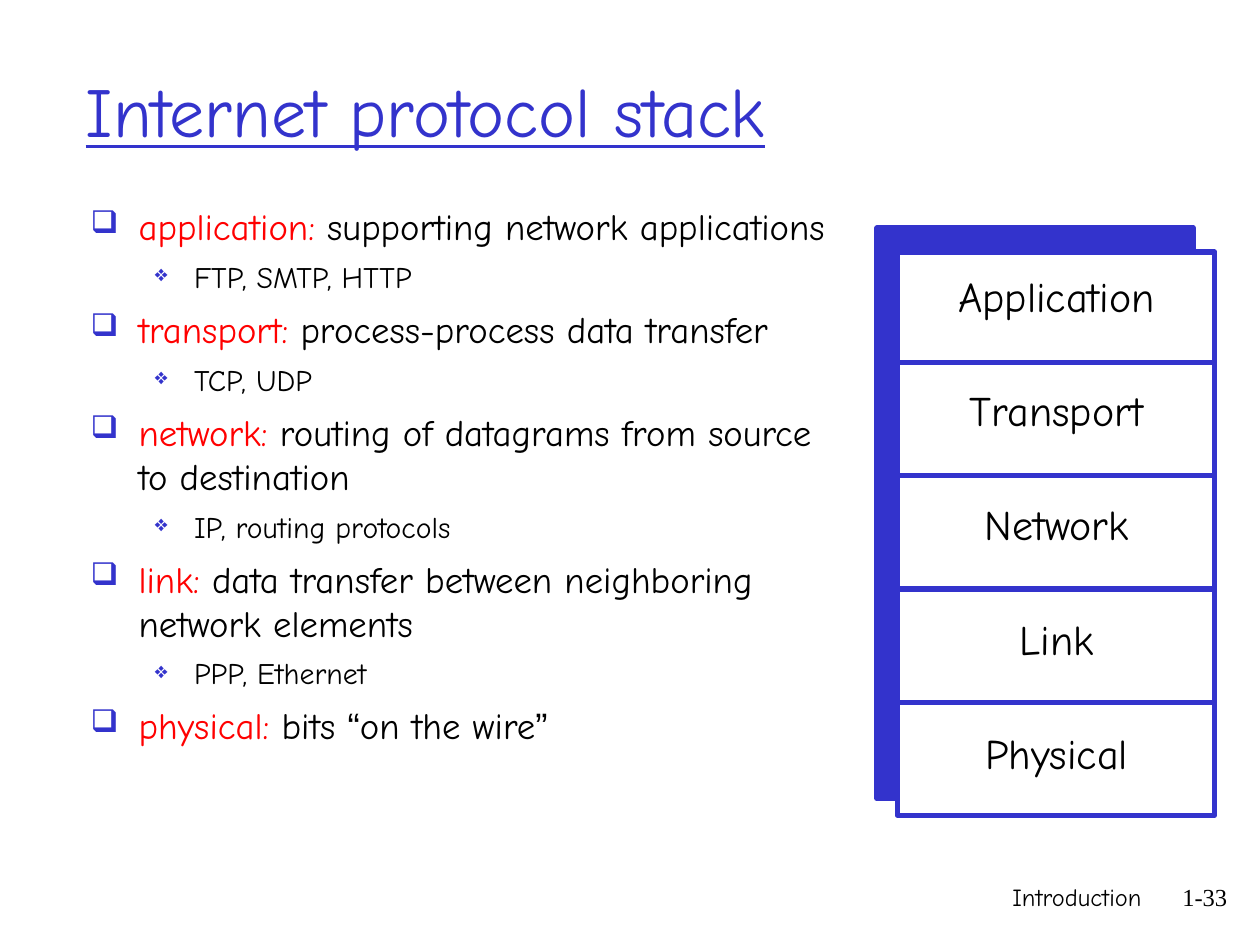
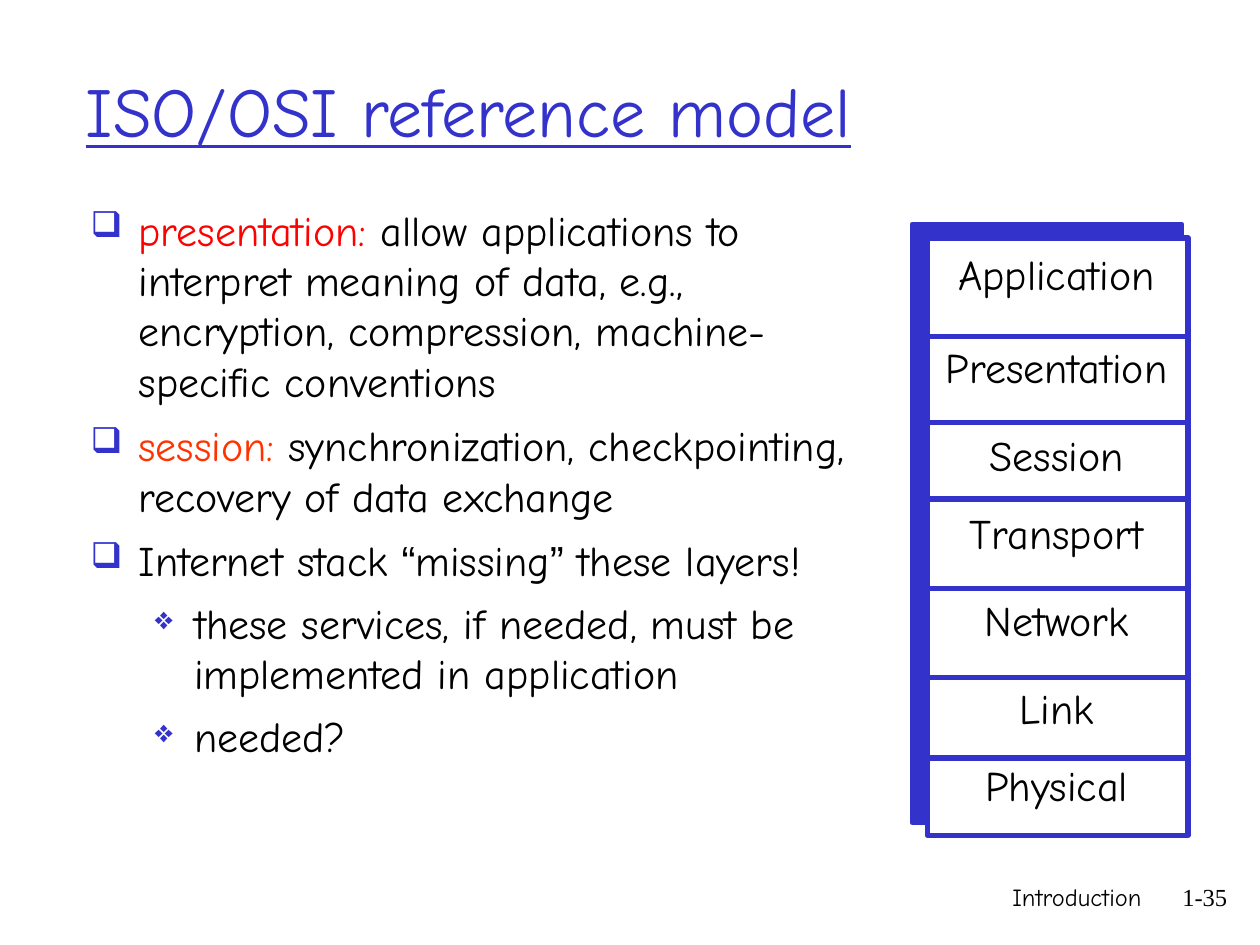
from itertools import groupby

from pptx import Presentation
from pptx.dml.color import RGBColor
from pptx.enum.shapes import MSO_CONNECTOR, MSO_SHAPE
from pptx.enum.text import MSO_ANCHOR, MSO_AUTO_SIZE, PP_ALIGN
from pptx.oxml.xmlchemy import OxmlElement
from pptx.util import Inches, Pt

RECTANGLE = MSO_SHAPE.RECTANGLE
STRAIGHT = MSO_CONNECTOR.STRAIGHT
MIDDLE = MSO_ANCHOR.MIDDLE
NO_AUTOFIT = MSO_AUTO_SIZE.NONE
LEFT, CENTER, RIGHT = PP_ALIGN.LEFT, PP_ALIGN.CENTER, PP_ALIGN.RIGHT

BLUE = RGBColor(0x33, 0x33, 0xCC)
RED = RGBColor(0xFF, 0x00, 0x00)
ORANGE = RGBColor(0xFF, 0x33, 0x00)
BLACK = RGBColor(0x00, 0x00, 0x00)
WHITE = RGBColor(0xFF, 0xFF, 0xFF)
BODY_FONT, NUMBER_FONT, QUOTE_FONT = "Comic Neue", "Times New Roman", "Arial"

# Bullet character, size in percent, left margin and hanging indent per level
BULLETS = [("❑", 85, 0.42, -0.38), ("❖", 75, 0.86, -0.31)]

presentation = Presentation()
presentation.slide_width = Inches(10)
presentation.slide_height = Inches(7.5)
title_only = presentation.slide_layouts[5]

# Grid of 100 columns and 75 rows
COLUMN = presentation.slide_width // 100
ROW = presentation.slide_height // 75

# Each point: level, coloured keyword, keyword colour, remaining text
# Boxes: left, top, width, height in columns and rows
SLIDES = [
    {
        "title": "Internet protocol stack",
        "number": "1-33",
        "sizes": (21, 17),
        "space_before": (7, 6.1),
        "points": [
            (0, "application:", RED, " supporting network applications"),
            (1, "", BLACK, "FTP, SMTP, HTTP"),
            (0, "transport:", RED, " process-process data transfer"),
            (1, "", BLACK, "TCP, UDP"),
            (0, "network:", RED, " routing of datagrams from source to destination"),
            (1, "", BLACK, "IP, routing protocols"),
            (0, "link:", RED, " data transfer between neighboring network elements"),
            (1, "", BLACK, "PPP, Ethernet"),
            (0, "physical:", RED, " bits “on the wire”"),
        ],
        "back": (69.6, 18.1, 25.1, 45.3),
        "front": (71.2, 20, 25.2, 44.7),
        "layers": ["Application", "Transport", "Network", "Link", "Physical"],
        "label_tops": [21.5 + 9.05 * layer for layer in range(5)],
        "dividers": [28.75 + 9 * layer for layer in range(4)],
        "line_spacing": 1.0,
    },
    {
        "title": "ISO/OSI reference model",
        "number": "1-35",
        "sizes": (24, 24),
        "space_before": (8, 7),
        "points": [
            (0, "presentation:", RED, " allow applications to interpret meaning of data, "
             "e.g., encryption, compression, machine-specific conventions"),
            (0, "session:", ORANGE, " synchronization, checkpointing, recovery of data exchange"),
            (0, "", BLACK, "Internet stack “missing” these layers!"),
            (1, "", BLACK, "these services, if needed, must be implemented in application"),
            (1, "", BLACK, "needed?"),
        ],
        "back": (72.4, 17.8, 21.4, 47.5),
        "front": (73.6, 18.9, 20.7, 47.4),
        "layers": ["Application", "Presentation", "Session", "Transport",
                   "Network", "Link", "Physical"],
        "label_tops": [20.8, 28.2, 35.2, 41.4, 48.3, 55.3, 61.4],
        "dividers": [26.7, 33.55, 39.6, 46.7, 53.8, 60.15],
        "line_spacing": 0.7,
    },
]


def grid(left, top, width, height):
    """Turn columns and rows into slide lengths."""
    return (int(left * COLUMN), int(top * ROW), int(width * COLUMN), int(height * ROW))


def add_label(slide, box, text, size, font_name, alignment):
    """Add a one-line text box and return its paragraph."""
    text_frame = slide.shapes.add_textbox(*grid(*box)).text_frame
    text_frame.word_wrap = True
    text_frame.margin_top = text_frame.margin_bottom = 0
    text_frame.margin_left = text_frame.margin_right = Inches(0.04)
    text_frame.text = text
    paragraph = text_frame.paragraphs[0]
    paragraph.alignment = alignment
    font = paragraph.runs[0].font
    font.size, font.name, font.color.rgb = Pt(size), font_name, BLACK
    return paragraph


for content in SLIDES:
    slide = presentation.slides.add_slide(title_only)

    # Footer
    add_label(slide, (59.2, 70, 31.8, 3.8), "Introduction", 14, BODY_FONT, RIGHT)
    add_label(slide, (90.9, 70, 6.9, 3.2), content["number"], 14, NUMBER_FONT, RIGHT)

    # Title
    title = slide.shapes.title
    title.left, title.top, title.width, title.height = grid(5.8, 1.9, 85, 13.6)
    title.text_frame.text = content["title"]
    title.text_frame.auto_size = NO_AUTOFIT
    title.text_frame.vertical_anchor = MIDDLE
    title.text_frame.margin_left = Inches(0.1)
    title.text_frame.margin_right = Inches(0.14)
    title.text_frame.margin_top = title.text_frame.margin_bottom = Inches(0.06)
    title.text_frame.paragraphs[0].alignment = LEFT
    font = title.text_frame.paragraphs[0].runs[0].font
    font.size, font.name, font.color.rgb = Pt(40), BODY_FONT, BLUE
    font.underline = True

    # Bulleted points
    body = slide.shapes.add_textbox(*grid(6.2, 15.6, 62.5, 59.4)).text_frame
    body.word_wrap = True
    body.margin_left = body.margin_top = body.margin_bottom = Inches(0.06)
    body.margin_right = Inches(0.14)
    for index, (level, keyword, keyword_color, rest) in enumerate(content["points"]):
        paragraph = body.add_paragraph() if index else body.paragraphs[0]
        paragraph.level = level
        character, percent, margin, indent = BULLETS[level]
        properties = paragraph._p.get_or_add_pPr()
        properties.set("marL", str(Inches(margin)))
        properties.set("indent", str(Inches(indent)))
        bullet_color = OxmlElement("a:buClr")
        color_value = OxmlElement("a:srgbClr")
        color_value.set("val", str(BLUE))
        bullet_color.append(color_value)
        bullet_size = OxmlElement("a:buSzPct")
        bullet_size.set("val", str(percent * 1000))
        bullet = OxmlElement("a:buChar")
        bullet.set("char", character)
        properties.extend([bullet_color, bullet_size, bullet])
        if index:
            paragraph.space_before = Pt(content["space_before"][level])

        # Curly quotes get their own font
        for text, color in ((keyword, keyword_color), (rest, BLACK)):
            for is_quote, characters in groupby(text, lambda letter: letter in "“”"):
                run = paragraph.add_run()
                run.text = "".join(characters)
                run.font.size = Pt(content["sizes"][level])
                run.font.name = QUOTE_FONT if is_quote else BODY_FONT
                run.font.color.rgb = color

    # Layer stack: offset panel behind, white panel in front
    for box, fill in ((content["back"], BLUE), (content["front"], WHITE)):
        panel = slide.shapes.add_shape(RECTANGLE, *grid(*box))
        panel.shadow.inherit = False
        panel.fill.solid()
        panel.fill.fore_color.rgb = fill
        panel.line.color.rgb = BLUE
        panel.line.width = Pt(3)

    # Lines between layers
    left, _, width, _ = content["front"]
    for top in content["dividers"]:
        start_x, y, length, _ = grid(left - 0.1, top, width, 0)
        divider = slide.shapes.add_connector(STRAIGHT, start_x, y, start_x + length, y)
        divider.line.color.rgb = BLUE
        divider.line.width = Pt(3)
        divider._element.spPr.append(OxmlElement("a:effectLst"))

    # Layer names
    for layer, top in zip(content["layers"], content["label_tops"]):
        paragraph = add_label(slide, (71.6, top, 24.5, 4.1), layer, 24, BODY_FONT, CENTER)
        paragraph.line_spacing = content["line_spacing"]

presentation.save("out.pptx")
